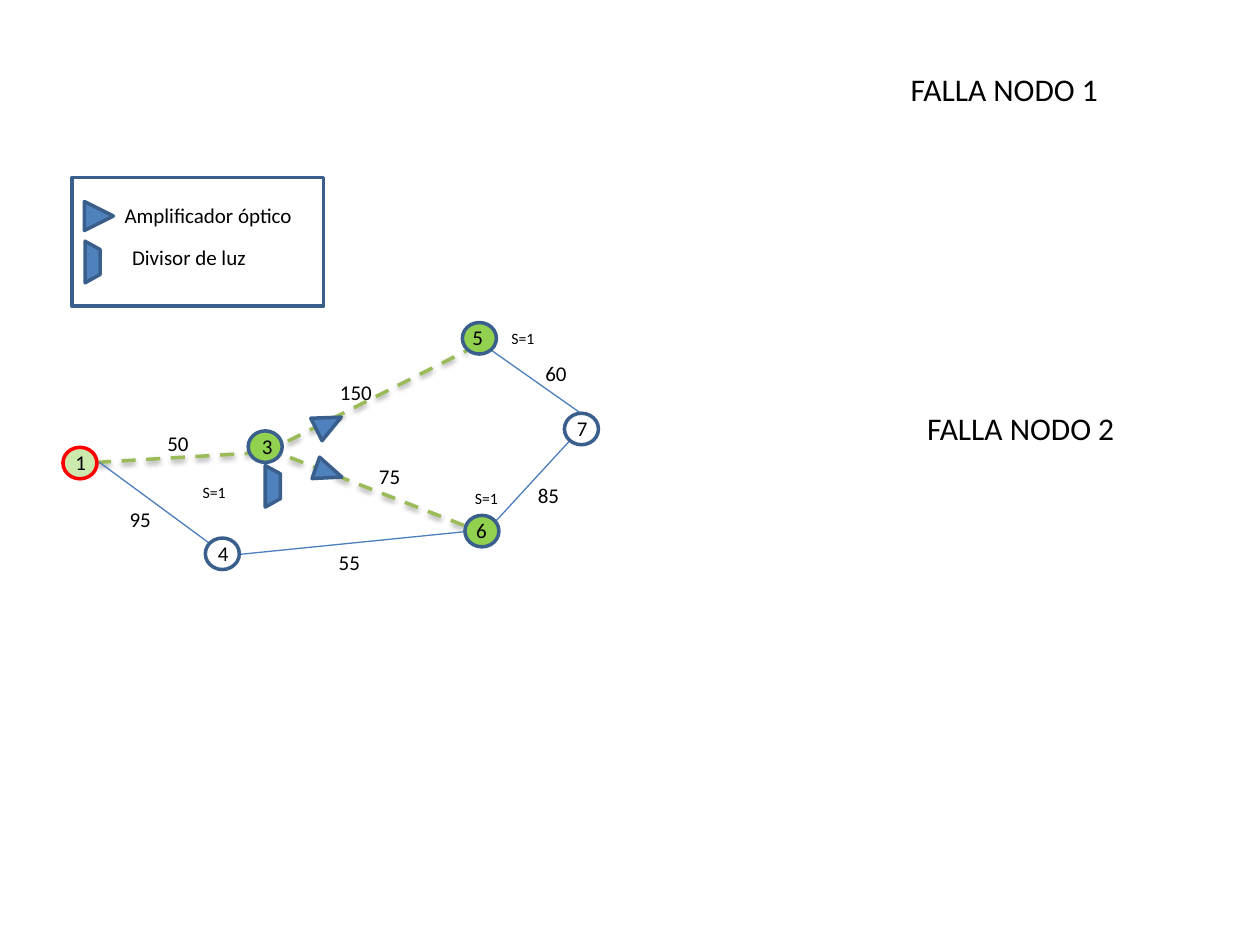
from lxml.etree import SubElement
from pptx import Presentation
from pptx.dml.color import RGBColor
from pptx.enum.dml import MSO_LINE
from pptx.enum.shapes import MSO_CONNECTOR, MSO_SHAPE
from pptx.enum.text import MSO_AUTO_SIZE
from pptx.oxml.ns import qn
from pptx.util import Inches, Pt

COLORS = {"text": "000000", "outline": "3A5F8C", "symbol": "4F81BD",
          "link": "4B7EBC", "path": "9BBB59", "active": "92D050",
          "failed": "FF0000"}
NODE_W, NODE_H = 0.27, 0.25

# number: left, top, label shift in x, fill, outline
NODES = {
    "1": (0.5, 3.55, 0, "active", "failed"),
    "3": (1.97, 3.42, 0.01, "active", "outline"),
    "4": (1.63, 4.27, 0, None, "outline"),
    "6": (3.69, 4.09, -0.01, "active", "outline"),
    "5": (3.67, 2.56, -0.02, "active", "outline"),
    "7": (4.48, 3.28, 0, None, "outline"),
}
PATHS = [(0.77, 3.67, 2.11, 3.59), (2.11, 3.59, 3.71, 2.78),
         (2.12, 3.56, 3.81, 4.22)]
LINKS = [(4.52, 3.5, 3.84, 4.24), (3.9, 2.78, 4.61, 3.28),
         (1.9, 4.4, 3.69, 4.22), (0.79, 3.67, 1.66, 4.31)]
# distance, left, top
DISTANCES = [("50", 1.23, 3.37), ("95", 0.93, 3.97), ("55", 2.59, 4.31),
             ("85", 4.17, 3.78), ("60", 4.23, 2.81)]
TIGHT_DISTANCES = [("150", 2.6, 2.96, 0.46), ("75", 2.91, 3.63, 0.37)]
SPLITS = [(3.96, 2.56), (3.67, 3.83), (1.51, 3.78)]


def rgb(name):
    return RGBColor.from_string(COLORS[name])


def add_text(shapes, text, x, y, w, h=0.3, size=12, wrap=True):
    tb = shapes.add_textbox(Inches(x), Inches(y), Inches(w), Inches(h))
    tf = tb.text_frame
    tf.word_wrap = wrap
    tf.auto_size = MSO_AUTO_SIZE.SHAPE_TO_FIT_TEXT
    p = tf.paragraphs[0]
    p.text = text
    p.font.size = Pt(size)
    p.font.name = "Calibri"
    p.font.color.rgb = rgb("text")


def add_shape(shapes, kind, x, y, w, h, fill=None, line="outline", rotation=0):
    sp = shapes.add_shape(kind, Inches(x), Inches(y), Inches(w), Inches(h))
    sp.shadow.inherit = False
    sp.rotation = rotation
    if fill:
        sp.fill.solid()
        sp.fill.fore_color.rgb = rgb(fill)
    else:
        sp.fill.background()
    sp.line.color.rgb = rgb(line)
    sp.line.width = Pt(2)
    return sp


def add_amplifier(shapes, x, y, w, h, rotation):
    add_shape(shapes, MSO_SHAPE.ISOSCELES_TRIANGLE, x, y, w, h,
              "symbol", rotation=rotation)


def add_splitter(shapes, x, y):
    sp = add_shape(shapes, MSO_SHAPE.TRAPEZOID, x, y, 0.33, 0.12,
                   "symbol", rotation=90)
    sp.adjustments[0] = 0.554


def add_link(shapes, ends, color, width):
    c = shapes.add_connector(MSO_CONNECTOR.STRAIGHT, *map(Inches, ends))
    c.line.color.rgb = rgb(color)
    c.line.width = Pt(width)
    effects = SubElement(c._element.spPr, qn("a:effectLst"))
    return c, effects


def add_path(shapes, ends):
    c, effects = add_link(shapes, ends, "path", 2)
    c.line.dash_style = MSO_LINE.DASH
    shadow = SubElement(effects, qn("a:outerShdw"), blurRad=str(Pt(3.1)),
                        dist=str(Pt(1.6)), dir="5400000", rotWithShape="0")
    color = SubElement(shadow, qn("a:srgbClr"), val=COLORS["text"])
    SubElement(color, qn("a:alpha"), val="38000")


def add_node(shapes, number, x, y, shift, fill, line):
    sp = add_shape(shapes, MSO_SHAPE.OVAL, x, y, NODE_W, NODE_H, fill, line)
    if line == "failed":
        color = sp.fill._xPr.find(qn("a:solidFill"))[0]
        SubElement(color, qn("a:alpha"), val="46000")
    add_text(shapes, number, x + shift, y - 0.03, 0.29)


def add_legend(shapes):
    add_text(shapes, "Amplificador óptico", 0.89, 1.56, 1.58)
    add_text(shapes, "Divisor de luz", 0.95, 1.89, 1.3)
    add_shape(shapes, MSO_SHAPE.RECTANGLE, 0.57, 1.41, 2, 1.02)
    add_splitter(shapes, 0.57, 2.02)
    add_amplifier(shapes, 0.67, 1.6, 0.23, 0.23, 90)


def add_network(shapes):
    # Links below the nodes
    for ends in PATHS:
        add_path(shapes, ends)
    for ends in LINKS:
        add_link(shapes, ends, "link", 0.75)
    for number, node in NODES.items():
        add_node(shapes, number, *node)

    # Distances and split counts
    for text, x, y in DISTANCES:
        add_text(shapes, text, x, y, 0.43)
    for text, x, y, w in TIGHT_DISTANCES:
        add_text(shapes, text, x, y, w, wrap=False)
    for x, y in SPLITS:
        add_text(shapes, "S=1", x, y, 0.39, 0.25, size=9, wrap=False)

    # Optical devices at node 3
    add_amplifier(shapes, 2.51, 3.25, 0.2, 0.22, 63.5)
    add_amplifier(shapes, 2.52, 3.64, 0.18, 0.22, 109.4)
    add_splitter(shapes, 2, 3.8)


def main():
    prs = Presentation()
    prs.slide_width, prs.slide_height = Inches(10), Inches(7.5)
    s = prs.slides.add_slide(prs.slide_layouts[6])

    # Headings
    for text, x, y in [("FALLA NODO 1", 7.13, 0.51),
                       ("FALLA NODO 2", 7.26, 3.2)]:
        add_text(s.shapes, text, x, y, 1.7, 0.4, size=18, wrap=False)

    add_legend(s.shapes.add_group_shape().shapes)
    add_network(s.shapes.add_group_shape().shapes)
    prs.save("out.pptx")


if __name__ == "__main__":
    main()
